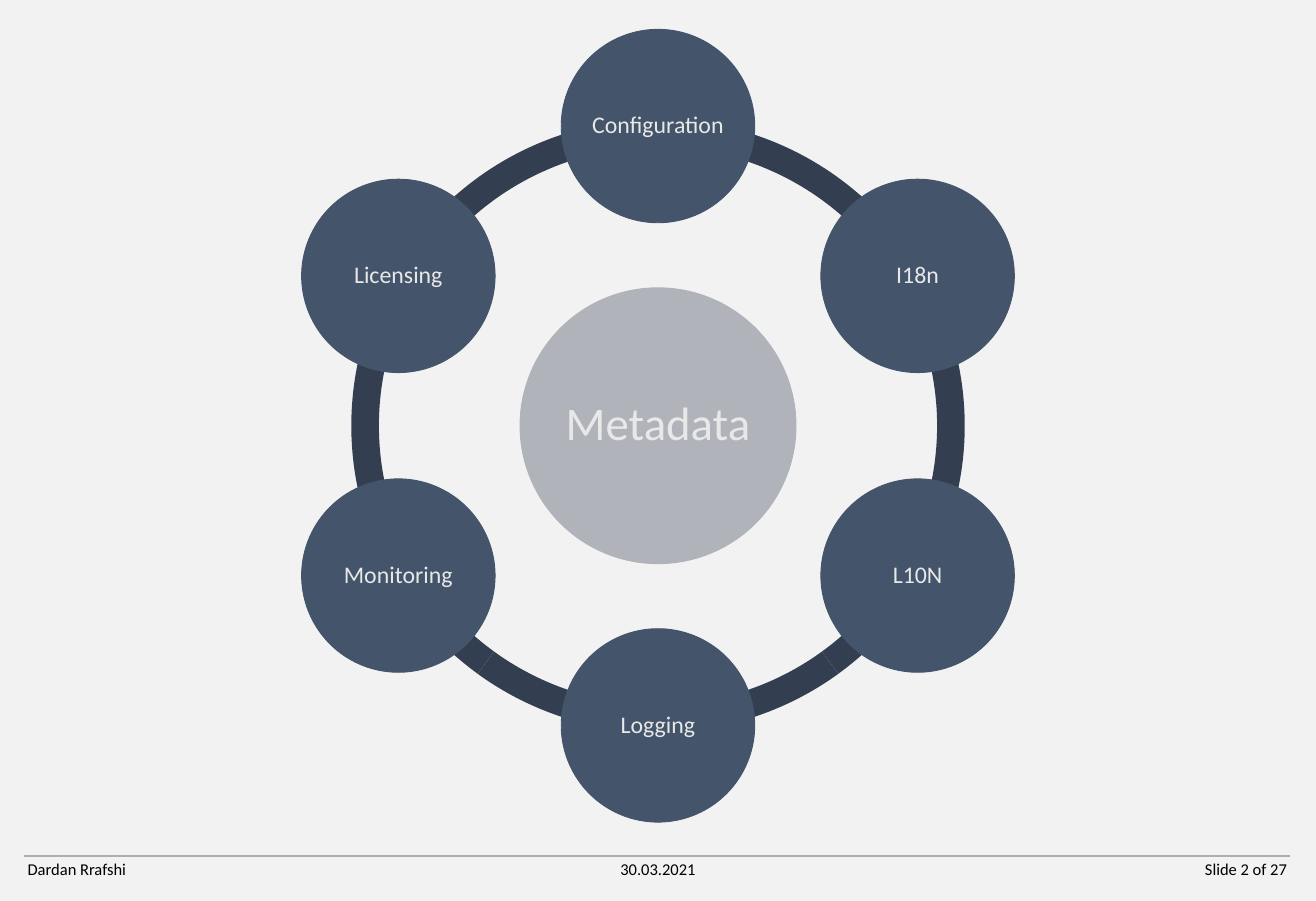
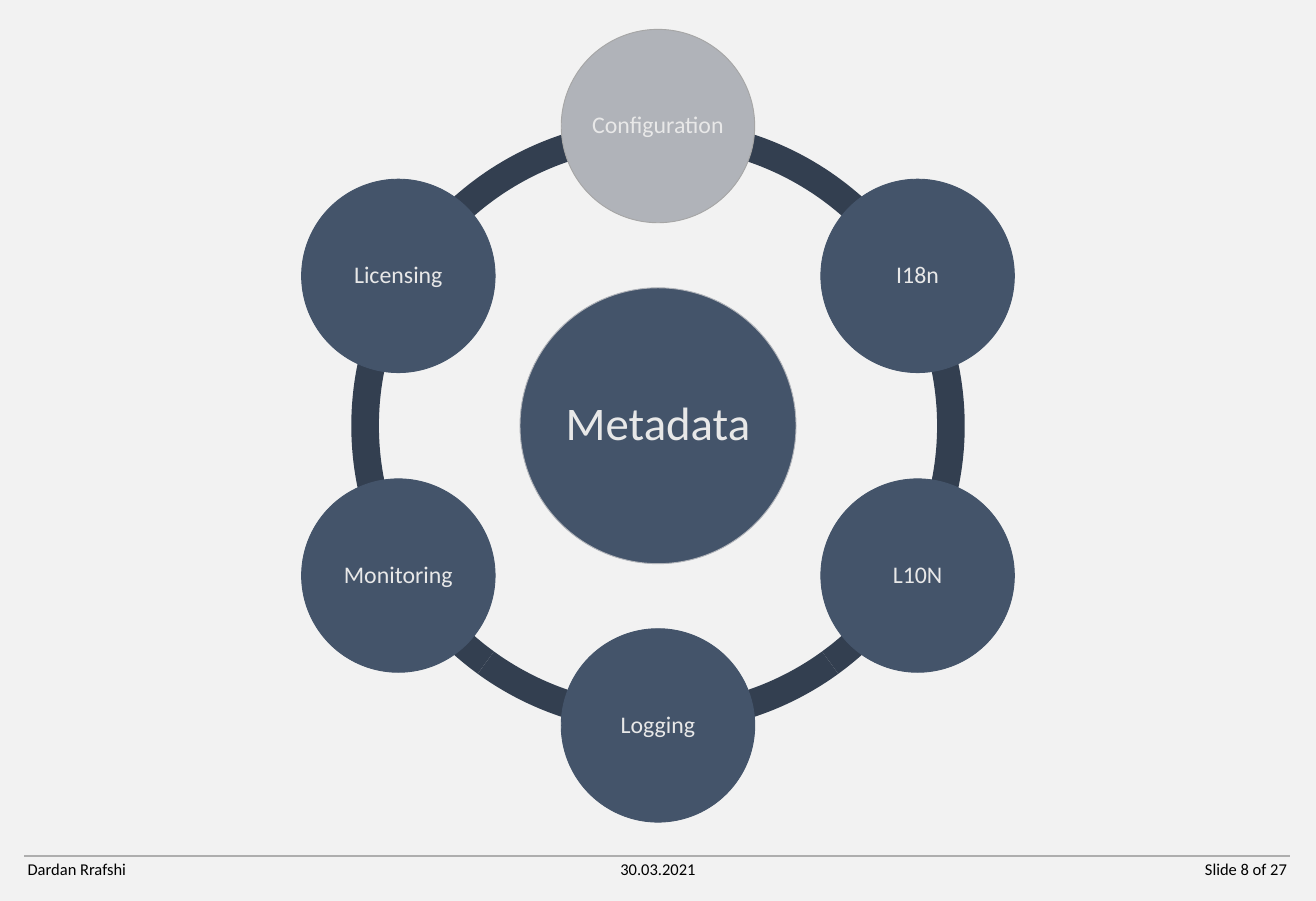
from dataclasses import dataclass
from math import cos, radians, sin

from lxml.etree import SubElement
from pptx import Presentation
from pptx.dml.color import RGBColor
from pptx.enum.shapes import MSO_CONNECTOR, MSO_SHAPE
from pptx.enum.text import MSO_ANCHOR, PP_ALIGN
from pptx.oxml.ns import qn
from pptx.util import Inches, Pt


@dataclass(frozen=True)
class Theme:
    font: str = "Calibri"
    background: str = "F2F2F2"
    ring: str = "333F50"
    node: str = "44546A"
    highlight: str = "B0B3B9"
    highlight_edge: str = "A6A6A6"
    label: str = "E8E8E8"
    rule: str = "AEAEAE"
    footer: str = "000000"
    hub_size: int = 51
    node_size: int = 26
    footer_size: int = 18


THEME = Theme()
SLIDE_WIDTH, SLIDE_HEIGHT = 19.93, 13.65
CENTER_X, CENTER_Y = SLIDE_WIDTH / 2, 6.45
ORBIT = 4.54
RING_DIAMETER, HUB_DIAMETER, NODE_DIAMETER = 9.29, 4.18, 2.93
RING_THICKNESS = 0.045
ARC_ANGLES = [(126, 162), (90, 126), (54, 90), (18, 54), (198, 18), (162, 198)]
HUB = "Metadata"
TOPICS = ["Configuration", "I18n", "L10N", "Logging", "Monitoring", "Licensing"]
FOOTER_TOP, FOOTER_WIDTH, FOOTER_HEIGHT = 12.97, 1.77, 0.4
TOTAL_SLIDES = 27


def rgb(color):
    return RGBColor.from_string(color)


def write(frame, text, size, color, align):
    paragraph = frame.paragraphs[0]
    paragraph.alignment = align
    run = paragraph.add_run()
    run.text = text
    run.font.name = THEME.font
    run.font.size = Pt(size)
    run.font.color.rgb = rgb(color)
    return paragraph


def add_round(shapes, kind, x, y, diameter, fill):
    figure = shapes.add_shape(
        kind, Inches(x - diameter / 2), Inches(y - diameter / 2),
        Inches(diameter), Inches(diameter))
    figure.shadow.inherit = False
    figure.fill.solid()
    figure.fill.fore_color.rgb = rgb(fill)
    figure.line.fill.background()
    return figure


def add_arc(shapes, start, end):
    arc = add_round(shapes, MSO_SHAPE.BLOCK_ARC, CENTER_X, CENTER_Y,
                    RING_DIAMETER, THEME.ring)
    arc.adjustments[0] = start * 0.6
    arc.adjustments[1] = end * 0.6
    arc.adjustments[2] = RING_THICKNESS


def add_circle(shapes, text, x, y, diameter, size, inset, fill, edge):
    circle = add_round(shapes, MSO_SHAPE.OVAL, x, y, diameter, fill)
    circle.line.color.rgb = rgb(edge)
    circle.line.width = Pt(1)
    frame = circle.text_frame
    frame.word_wrap = False
    frame.vertical_anchor = MSO_ANCHOR.MIDDLE
    frame.margin_left = frame.margin_right = Inches(inset)
    frame.margin_top = frame.margin_bottom = Inches(inset)
    paragraph = write(frame, text, size, THEME.label, PP_ALIGN.CENTER)
    paragraph.line_spacing = 0.9


def add_wheel(slide, highlighted):
    wheel = slide.shapes.add_group_shape().shapes
    for start, end in ARC_ANGLES:
        add_arc(wheel, start, end)
    hub_fill = THEME.highlight if highlighted == HUB else THEME.node
    add_circle(wheel, HUB, CENTER_X, CENTER_Y, HUB_DIAMETER,
               THEME.hub_size, 0.07, hub_fill, THEME.highlight)
    for position, topic in enumerate(TOPICS):
        angle = radians(position * 360 / len(TOPICS) - 90)
        fill, edge = THEME.node, THEME.node
        if topic == highlighted:
            fill, edge = THEME.highlight, THEME.highlight_edge
        add_circle(wheel, topic, CENTER_X + ORBIT * cos(angle),
                   CENTER_Y + ORBIT * sin(angle), NODE_DIAMETER,
                   THEME.node_size, 0.04, fill, edge)


def add_footer(slide, number):
    rule = slide.shapes.add_connector(
        MSO_CONNECTOR.STRAIGHT, Inches(0.37), Inches(FOOTER_TOP),
        Inches(19.53), Inches(FOOTER_TOP))
    rule.line.color.rgb = rgb(THEME.rule)
    rule.line.width = Pt(2.25)
    SubElement(rule._element.spPr, qn("a:effectLst"))
    entries = [
        (0.32, "Dardan Rrafshi", PP_ALIGN.LEFT),
        (9.08, "30.03.2021", PP_ALIGN.CENTER),
        (17.82, f"Slide {number} of {TOTAL_SLIDES}", PP_ALIGN.RIGHT),
    ]
    for left, text, align in entries:
        entry = slide.shapes.add_textbox(
            Inches(left), Inches(FOOTER_TOP),
            Inches(FOOTER_WIDTH), Inches(FOOTER_HEIGHT))
        entry.text_frame.word_wrap = True
        write(entry.text_frame, text, THEME.footer_size, THEME.footer, align)


def main():
    deck = Presentation()
    deck.slide_width = Inches(SLIDE_WIDTH)
    deck.slide_height = Inches(SLIDE_HEIGHT)
    backdrop = deck.slide_master.background.fill
    backdrop.solid()
    backdrop.fore_color.rgb = rgb(THEME.background)
    for number, highlighted in [(2, HUB), (8, "Configuration")]:
        slide = deck.slides.add_slide(deck.slide_layouts[6])
        add_wheel(slide, highlighted)
        add_footer(slide, number)
    deck.save("out.pptx")


main()
